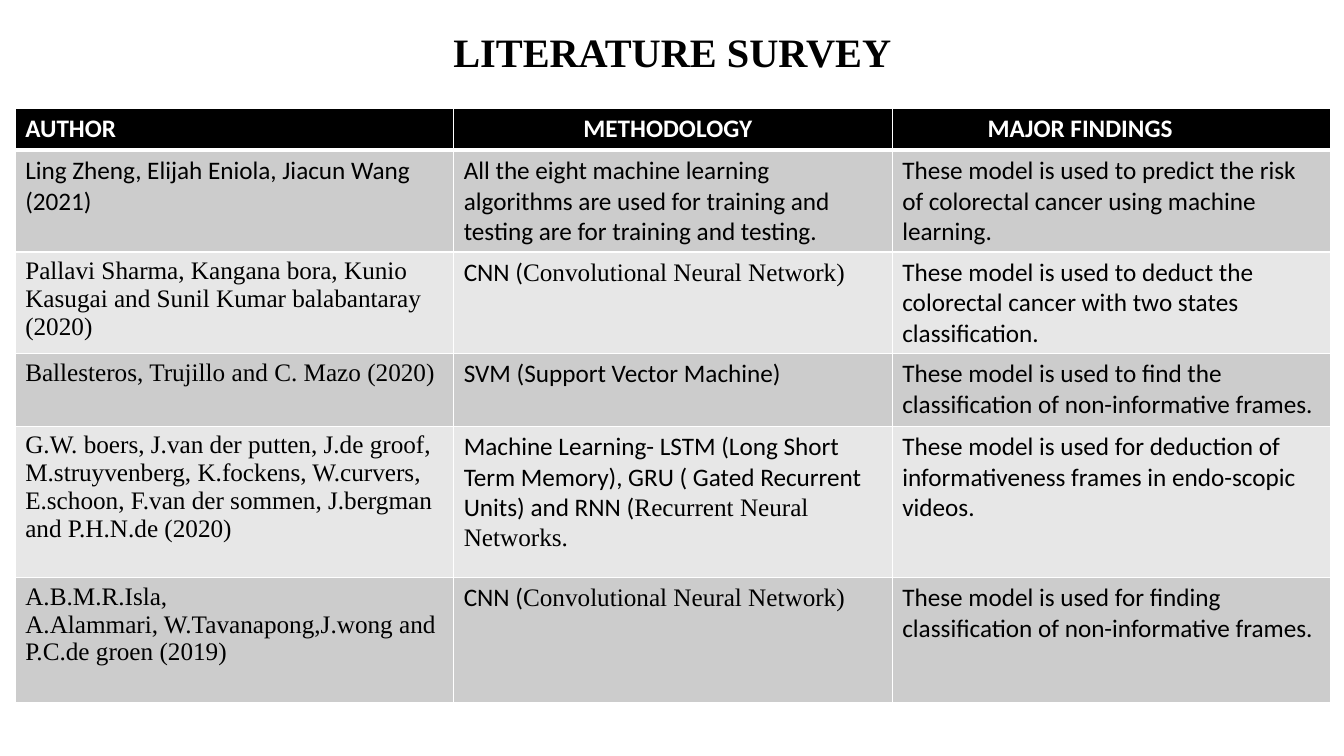
from lxml.etree import SubElement
from pptx import Presentation
from pptx.dml.color import RGBColor
from pptx.enum.text import MSO_ANCHOR, PP_ALIGN
from pptx.oxml.ns import qn
from pptx.util import Inches, Pt

COLORS = {"ink": "000000", "paper": "FFFFFF", "odd": "CCCCCC", "even": "E7E7E7"}
SANS, SERIF = "Calibri", "Times New Roman"
WIDTH, HEIGHT = 13.33, 7.5
COLUMN_SHARE = 32.63
ROW_SHARES = [5.47, 13.47, 13.47, 9.6, 20, 16.53]

HEADINGS = [("AUTHOR", 0), ("METHODOLOGY", 8.9), ("MAJOR FINDINGS", 6.35)]
CNN = [[("CNN (", SANS), ("Convolutional Neural Network)", SERIF)]]
STUDIES = [
    ([[("Ling Zheng, Elijah Eniola, Jiacun Wang (2021)", SANS)]],
     [[("All the eight machine learning algorithms are used for training and "
        "testing are for training and testing.", SANS)]],
     "These model is used to predict the risk of colorectal cancer using machine learning."),
    ([[("Pallavi Sharma, Kangana bora, Kunio Kasugai and Sunil Kumar balabantaray (2020)", SERIF)]],
     CNN,
     "These model is used to deduct the colorectal cancer with two states classification."),
    ([[("Ballesteros, Trujillo and C. Mazo (2020)", SERIF)]],
     [[("SVM (Support Vector Machine)", SANS)]],
     "These model is used to find the classification of non-informative frames."),
    ([[("G.W. boers, J.van der putten, J.de groof, M.struyvenberg, K.fockens, W.curvers, "
        "E.schoon, F.van der sommen, J.bergman and P.H.N.de (2020)", SERIF)]],
     [[("Machine Learning- LSTM (Long Short", SANS)],
      [("Term Memory), GRU ( Gated Recurrent Units) and RNN (", SANS),
       ("Recurrent Neural Networks.", SERIF)]],
     "These model is used for deduction of informativeness frames in endo-scopic videos."),
    ([[("A.B.M.R.Isla,", SERIF)],
      [("A.Alammari, W.Tavanapong,J.wong and P.C.de groen (2019)", SERIF)]],
     CNN,
     "These model is used for finding classification of non-informative frames."),
]


def x(share):
    return Inches(WIDTH * share / 100)


def y(share):
    return Inches(HEIGHT * share / 100)


def add_run(p, text, color, **font):
    r = p.add_run()
    r.text = text
    for name, value in font.items():
        setattr(r.font, name, value)
    r.font.color.rgb = RGBColor.from_string(COLORS[color])


def add_title(s, text):
    tf = s.shapes.add_textbox(x(6.9), y(3.73), x(86.27), y(6.93)).text_frame
    for name, value in {"word_wrap": True, "vertical_anchor": MSO_ANCHOR.MIDDLE}.items():
        setattr(tf, name, value)
    p = tf.paragraphs[0]
    for name, value in {"alignment": PP_ALIGN.CENTER, "line_spacing": 0.9}.items():
        setattr(p, name, value)
    add_run(p, text, "ink", name=SERIF, size=Pt(28.8), bold=True)


def set_borders(cell, top, bottom):
    tc_pr = cell._tc.get_or_add_tcPr()
    sides = {"a:lnL": 1, "a:lnR": 1, "a:lnT": top, "a:lnB": bottom}
    for i, (tag, width) in enumerate(sides.items()):
        ln = SubElement(tc_pr, qn(tag), w=str(Pt(width)))
        fill = SubElement(ln, qn("a:solidFill"))
        SubElement(fill, qn("a:srgbClr"), val=COLORS["paper"])
        tc_pr.insert(i, ln)


def fill_cell(cell, paragraphs, fill, color, bold=False, top=1, bottom=1):
    cell.fill.solid()
    cell.fill.fore_color.rgb = RGBColor.from_string(COLORS[fill])
    set_borders(cell, top, bottom)
    tf = cell.text_frame
    for i, runs in enumerate(paragraphs):
        p = tf.add_paragraph() if i else tf.paragraphs[0]
        for text, font in runs:
            add_run(p, text, color, name=font, size=Pt(18), bold=bold)


def add_survey_table(s):
    columns, rows = len(HEADINGS), len(ROW_SHARES)
    table = s.shapes.add_table(rows, columns, x(1.13), y(14.4),
                               x(COLUMN_SHARE * columns), y(sum(ROW_SHARES))).table
    for name in ("first_row", "horz_banding"):
        setattr(table, name, False)
    for column in table.columns:
        column.width = x(COLUMN_SHARE)
    for row, share in zip(table.rows, ROW_SHARES):
        row.height = y(share)
    for j, (heading, indent) in enumerate(HEADINGS):
        cell = table.cell(0, j)
        cell.margin_left = Inches(0.1) + x(indent)
        fill_cell(cell, [[(heading, SANS)]], "ink", "paper", bold=True, bottom=3)
    for i, (author, method, finding) in enumerate(STUDIES, 1):
        for j, paragraphs in enumerate((author, method, [[(finding, SANS)]])):
            fill_cell(table.cell(i, j), paragraphs, "odd" if i % 2 else "even", "ink",
                      top=3 if i == 1 else 1)


def main():
    prs = Presentation()
    prs.slide_width, prs.slide_height = Inches(WIDTH), Inches(HEIGHT)
    s = prs.slides.add_slide(prs.slide_layouts[6])
    add_title(s, "LITERATURE SURVEY")
    add_survey_table(s)
    prs.save("out.pptx")


if __name__ == "__main__":
    main()
